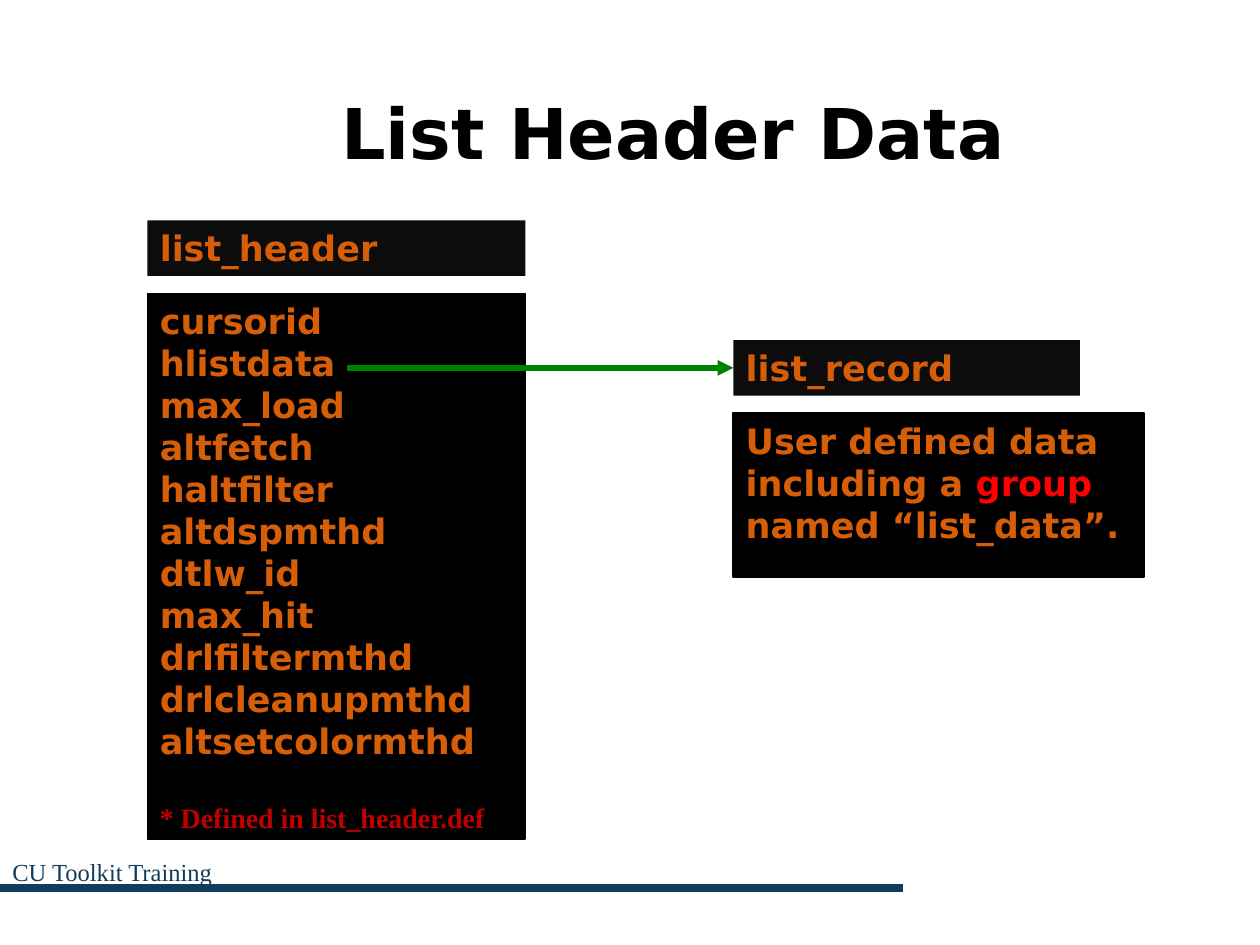
from pptx import Presentation
from pptx.util import Inches, Pt
from pptx.dml.color import RGBColor
from pptx.enum.shapes import MSO_SHAPE as Shape, MSO_CONNECTOR as Line
from pptx.enum.text import PP_ALIGN as Align, MSO_ANCHOR as Anchor
from pptx.oxml.ns import qn
from lxml import etree

# Text formats
SANS, SERIF = "DejaVu Sans", "Times New Roman"
TITLE = dict(name=SANS, size=Pt(40), bold=True, color="000000")
FOOT = dict(name=SERIF, size=Pt(14), bold=False, color="103D5C")
BODY = dict(name=SANS, size=Pt(20), bold=True, color="D65E08")
NOTE = dict(name=SERIF, size=Pt(16), bold=True, color="C00000")
GROUP = dict(BODY, color="FF0000")

# Content: each paragraph is a list of (text, format) runs
FIELDS = ["cursorid", "hlistdata", "max_load", "altfetch", "haltfilter",
          "altdspmthd", "dtlw_id", "max_hit", "drlfiltermthd",
          "drlcleanupmthd", "altsetcolormthd"]
HEADER = [[(field, BODY)] for field in FIELDS]
HEADER.append([("* Defined in list_header.def", NOTE)])
RECORD = [[("User defined data", BODY)],
          [("including a ", BODY), ("group", GROUP)],
          [("named “list_data”.", BODY)]]

# Each record: name, left, top, label width, body width, body height, text
LABEL, STEP = 0.44, 0.58
RECORDS = [("list_header", 1.17, 1.75, 3, 3, 4.33, HEADER),
           ("list_record", 5.82, 2.7, 2.75, 3.26, 1.3, RECORD)]

# Lines: start x, end x, y, colour, width, arrow
RULE = (-0.08, 7.17, 7.05, "103D5C", 4.5, False)
LINK = (2.75, 5.82, 2.92, "008000", 3, True)

deck = Presentation()
deck.slide_width, deck.slide_height = Inches(10), Inches(7.5)
slide = deck.slides.add_slide(deck.slide_layouts[6])
shapes = slide.shapes


def rgb(code):
    return RGBColor.from_string(code)


def write(shape, paras, align=Align.LEFT, anchor=Anchor.TOP):
    frame = shape.text_frame
    frame.word_wrap, frame.vertical_anchor = True, anchor
    for i, runs in enumerate(paras):
        para = frame.add_paragraph() if i else frame.paragraphs[0]
        para.alignment = align
        for text, style in runs:
            run = para.add_run()
            run.text = text
            for key, value in style.items():
                if key == "color":
                    run.font.color.rgb = rgb(value)
                else:
                    setattr(run.font, key, value)


def label(box, text, style, **place):
    write(shapes.add_textbox(*map(Inches, box)), [[(text, style)]], **place)


def panel(box, fill, paras, edge=None):
    shape = shapes.add_shape(Shape.RECTANGLE, *map(Inches, box))
    shape.shadow.inherit = False
    shape.fill.solid()
    shape.fill.fore_color.rgb = rgb(fill)
    if edge:
        shape.line.color.rgb = rgb(edge)
        shape.line.width = Pt(1)
    else:
        shape.line.fill.background()
    write(shape, paras)
    return shape


def draw(start, end, y, color, width, arrow):
    line = shapes.add_connector(Line.STRAIGHT, *map(Inches, (start, y, end, y)))
    line.line.color.rgb = rgb(color)
    line.line.width = Pt(width)
    if arrow:
        tip = etree.SubElement(line.line._get_or_add_ln(), qn("a:tailEnd"))
        tip.set("type", "triangle")
    etree.SubElement(line._element.spPr, qn("a:effectLst"))


# Footer rule, title and footer text
draw(*RULE)
label((0.92, 0.42, 8.84, 1.25), "List Header Data", TITLE,
      align=Align.CENTER, anchor=Anchor.MIDDLE)
label((0, 6.75, 4.33, 0.5), "CU Toolkit Training", FOOT)

# Records: a label above a body
for name, left, top, wide, span, high, paras in RECORDS:
    body = panel((left, top + STEP, span, high), "000000", paras, "000000")
    if paras is HEADER:
        body.text_frame.paragraphs[-1].space_before = Pt(22)
    panel((left, top, wide, LABEL), "0C0C0C", [[(name, BODY)]])

# Link from the field to its record
draw(*LINK)

deck.save("out.pptx")
